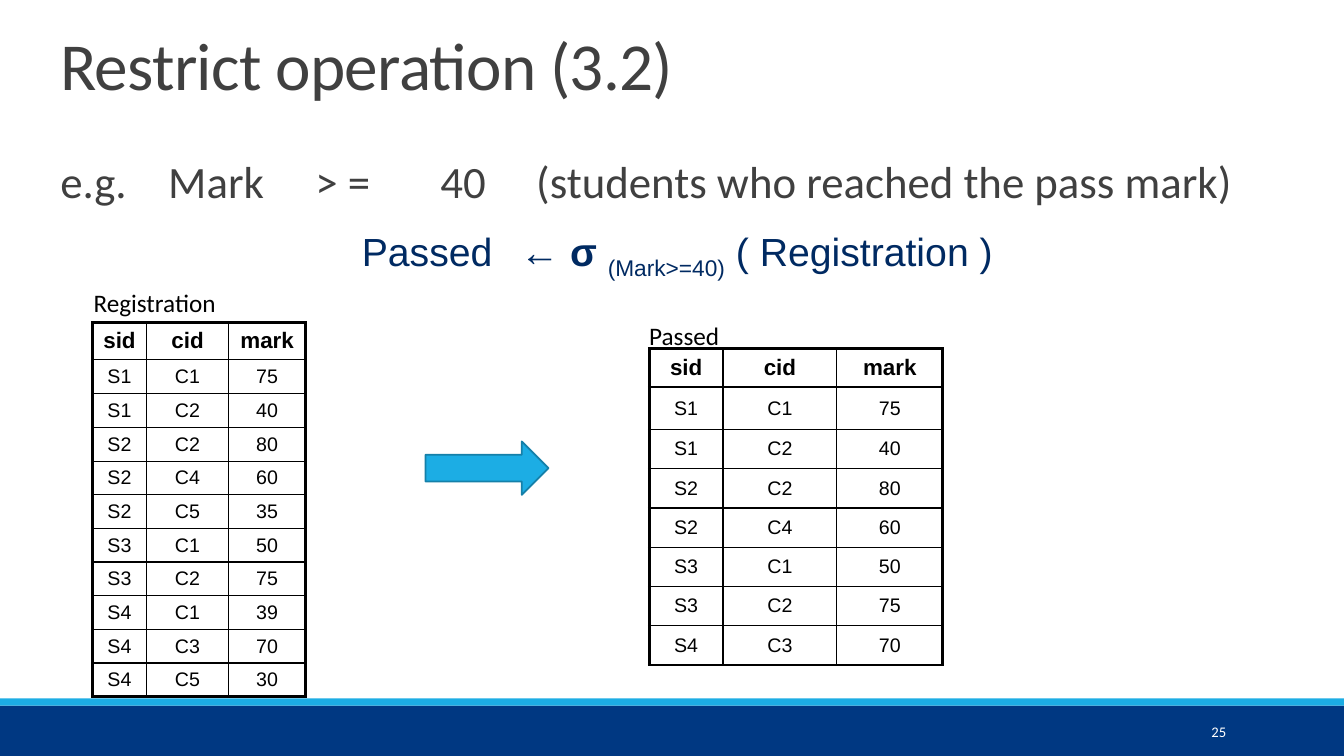
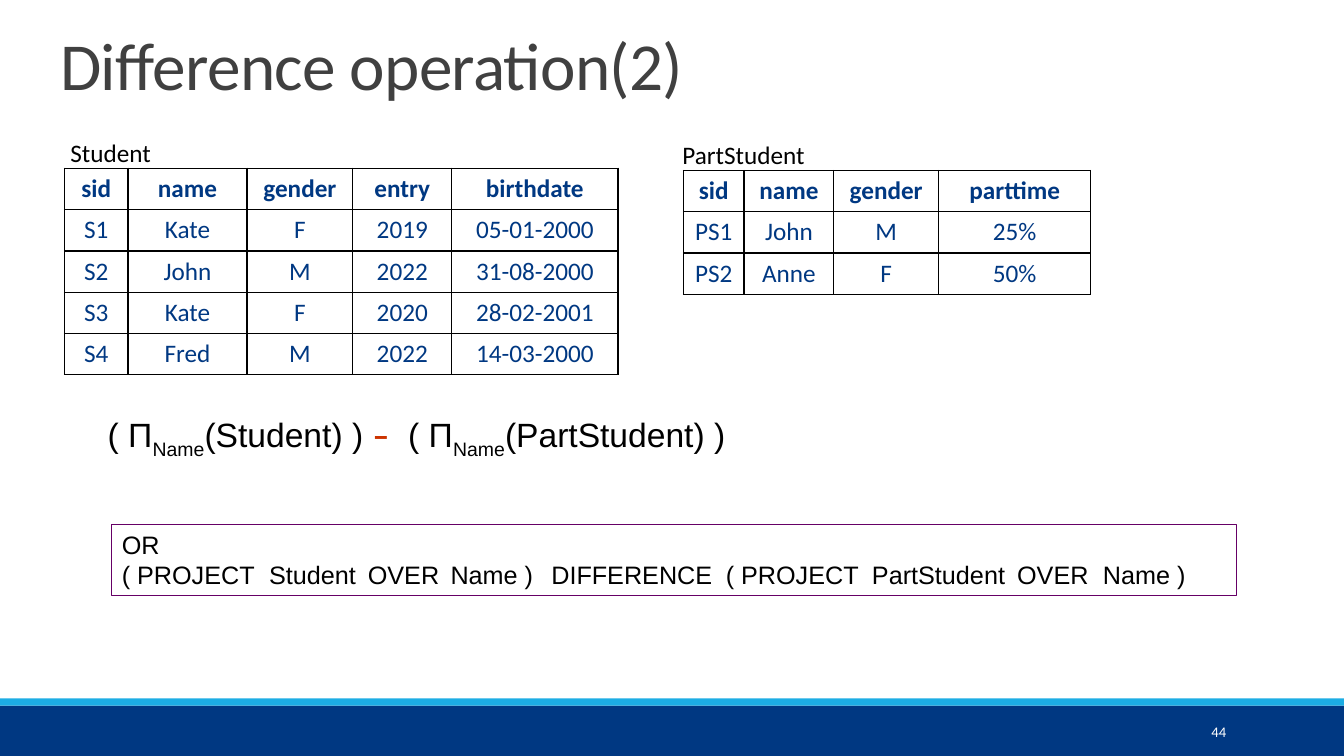
from dataclasses import dataclass
from typing import Optional

import lxml.etree
import pptx
import pptx.dml.color
import pptx.enum.shapes
import pptx.enum.text
import pptx.oxml.ns
import pptx.presentation
import pptx.shapes.autoshape
import pptx.slide
import pptx.table
import pptx.text.text
import pptx.util

Inches = pptx.util.Inches
Pt = pptx.util.Pt
RGBColor = pptx.dml.color.RGBColor
Shape = pptx.enum.shapes.MSO_SHAPE
Align = pptx.enum.text.PP_ALIGN
Anchor = pptx.enum.text.MSO_ANCHOR

NAVY = RGBColor(0x00, 0x38, 0x82)
DARK_NAVY = RGBColor(0x00, 0x2A, 0x62)
CYAN = RGBColor(0x1C, 0xAD, 0xE4)
ARROW_EDGE = RGBColor(0x15, 0x80, 0xA9)
GRAY = RGBColor(0x40, 0x40, 0x40)
PURPLE = RGBColor(0x66, 0x00, 0x66)
RED = RGBColor(0xCC, 0x33, 0x00)
WHITE = RGBColor(0xFF, 0xFF, 0xFF)
BLACK = RGBColor(0x00, 0x00, 0x00)

SLIDE_WIDTH = 13.33
THIN_BORDER = 1


@dataclass(frozen=True)
class Box:
    left: float
    top: float
    width: float
    height: float

    def lengths(self) -> tuple[int, int, int, int]:
        return Inches(self.left), Inches(self.top), Inches(self.width), Inches(self.height)


@dataclass(frozen=True)
class TextStyle:
    font: str
    size: float
    color: RGBColor


@dataclass(frozen=True)
class Piece:
    text: str
    bold: Optional[bool] = None
    subscript: bool = False
    font: Optional[str] = None
    color: Optional[RGBColor] = None


@dataclass(frozen=True)
class TableStyle:
    header: TextStyle
    body: TextStyle
    outer_border: float


@dataclass(frozen=True)
class Relation:
    name: str
    label_left: float
    label_top: float
    left: float
    top: float
    columns: list[float]
    row_heights: list[float]
    rows: list[str]
    style: TableStyle


TITLE = TextStyle("Calibri", 48, GRAY)
NUMBER = TextStyle("Calibri", 10.5, WHITE)
LABEL = TextStyle("Calibri", 18, BLACK)
EXAMPLE = TextStyle("Calibri", 32, GRAY)
RESTRICTION = TextStyle("Arial", 28, DARK_NAVY)
DIFFERENCE = TextStyle("Arial", 24, BLACK)
STATEMENT = TextStyle("Arial", 18, BLACK)
BLUE_CELL = TextStyle("Calibri", 18, NAVY)

FRAMED = TableStyle(TextStyle("Arial", 16, BLACK), TextStyle("Arial", 14, BLACK), 2.25)
PLAIN = TableStyle(BLUE_CELL, BLUE_CELL, THIN_BORDER)

RESTRICT_RELATIONS = [
    Relation("Passed", 6.34, 3.13, 6.44, 3.46, [0.73, 1.13, 1.05], [0.38, 0.42] + [0.39] * 6,
             ["sid cid mark", "S1 C1 75", "S1 C2 40", "S2 C2 80", "S2 C4 60",
              "S3 C1 50", "S3 C2 75", "S4 C3 70"], FRAMED),
    Relation("Registration", 0.83, 2.8, 0.92, 3.2, [0.53, 0.82, 0.76], [0.35, 0.34] + [0.31] * 9,
             ["sid cid mark", "S1 C1 75", "S1 C2 40", "S2 C2 80", "S2 C4 60", "S2 C5 35",
              "S3 C1 50", "S3 C2 75", "S4 C1 39", "S4 C3 70", "S4 C5 30"], FRAMED),
]
DIFFERENCE_RELATIONS = [
    Relation("Student", 0.6, 1.31, 0.64, 1.67, [0.63, 1.18, 1.05, 0.98, 1.65], [0.41] * 5,
             ["sid name gender entry birthdate", "S1 Kate F 2019 05-01-2000",
              "S2 John M 2022 31-08-2000", "S3 Kate F 2020 28-02-2001",
              "S4 Fred M 2022 14-03-2000"], PLAIN),
    Relation("PartStudent", 6.67, 1.33, 6.78, 1.69, [0.6, 0.89, 1.04, 1.51], [0.41] * 3,
             ["sid name gender parttime", "PS1 John M 25%", "PS2 Anne F 50%"], PLAIN),
]


def add_element(parent: lxml.etree._Element, tag: str, **attributes: str) -> lxml.etree._Element:
    element = lxml.etree.SubElement(parent, pptx.oxml.ns.qn(tag))
    for name, value in attributes.items():
        element.set(name, value)
    return element


def write_paragraph(paragraph: pptx.text.text._Paragraph, pieces: list[Piece], style: TextStyle,
                    tabs: Optional[list[float]] = None) -> None:
    if tabs:
        tab_list = add_element(paragraph._p.get_or_add_pPr(), "a:tabLst")
        for position in tabs:
            add_element(tab_list, "a:tab", pos=str(int(Inches(position))), algn="l")
    paragraph.font.name = style.font
    paragraph.font.size = Pt(style.size)
    paragraph.font.color.rgb = style.color
    for piece in pieces:
        run = paragraph.add_run()
        run.text = piece.text
        if piece.bold is not None:
            run.font.bold = piece.bold
        if piece.font:
            run.font.name = piece.font
        if piece.color is not None:
            run.font.color.rgb = piece.color
        if piece.subscript:
            run._r.get_or_add_rPr().set("baseline", "-25000")


def add_text(slide: pptx.slide.Slide, box: Box, pieces: list[Piece], style: TextStyle,
             tabs: Optional[list[float]] = None) -> pptx.text.text.TextFrame:
    frame = slide.shapes.add_textbox(*box.lengths()).text_frame
    frame.word_wrap = True
    write_paragraph(frame.paragraphs[0], pieces, style, tabs)
    return frame


def add_figure(slide: pptx.slide.Slide, kind: Shape, box: Box, fill: Optional[RGBColor] = None,
               line: Optional[RGBColor] = None,
               line_width: float = 1) -> pptx.shapes.autoshape.Shape:
    shape = slide.shapes.add_shape(kind, *box.lengths())
    shape.shadow.inherit = False
    if fill is None:
        shape.fill.background()
    else:
        shape.fill.solid()
        shape.fill.fore_color.rgb = fill
    if line is None:
        shape.line.fill.background()
    else:
        shape.line.color.rgb = line
        shape.line.width = Pt(line_width)
    return shape


def add_border(cell: pptx.table._Cell, side: str, width: float) -> None:
    border = add_element(cell._tc.get_or_add_tcPr(), f"a:{side}", w=str(int(Pt(width))))
    add_element(add_element(border, "a:solidFill"), "a:srgbClr", val=str(BLACK))


def add_relation(slide: pptx.slide.Slide, relation: Relation) -> None:
    style = relation.style
    box = Box(relation.left, relation.top, sum(relation.columns), sum(relation.row_heights))
    last_row = len(relation.rows) - 1
    last_column = len(relation.columns) - 1
    table = slide.shapes.add_table(last_row + 1, last_column + 1, *box.lengths()).table
    table.first_row = False
    table.horz_banding = False
    for column, width in zip(table.columns, relation.columns):
        column.width = Inches(width)
    for row, height in zip(table.rows, relation.row_heights):
        row.height = Inches(height)
    for row_index, values in enumerate(relation.rows):
        for column_index, value in enumerate(values.split()):
            cell = table.cell(row_index, column_index)
            outer_sides = {"lnL": column_index == 0, "lnR": column_index == last_column,
                           "lnT": row_index == 0, "lnB": row_index == last_row}
            for side, is_outer in outer_sides.items():
                add_border(cell, side, style.outer_border if is_outer else THIN_BORDER)
            cell.fill.background()
            cell.vertical_anchor = Anchor.MIDDLE
            paragraph = cell.text_frame.paragraphs[0]
            paragraph.alignment = Align.CENTER
            is_header = row_index == 0
            write_paragraph(paragraph, [Piece(value, bold=is_header)],
                            style.header if is_header else style.body)
    add_text(slide, Box(relation.label_left, relation.label_top, 1.5, 0.4),
             [Piece(relation.name)], LABEL)


def add_base_slide(presentation: pptx.presentation.Presentation, title: str,
                   number: int) -> pptx.slide.Slide:
    slide = presentation.slides.add_slide(presentation.slide_layouts[6])
    add_figure(slide, Shape.RECTANGLE, Box(0, 7, SLIDE_WIDTH, 0.5), NAVY)
    add_figure(slide, Shape.RECTANGLE, Box(0, 6.93, SLIDE_WIDTH, 0.07), CYAN)
    number_frame = add_text(slide, Box(10.83, 7.06, 1.43, 0.4), [Piece(str(number))], NUMBER)
    number_frame.vertical_anchor = Anchor.MIDDLE
    number_frame.paragraphs[0].alignment = Align.RIGHT
    title_frame = add_text(slide, Box(0.5, 0.3, 10.1, 1.25), [Piece(title)], TITLE)
    paragraph = title_frame.paragraphs[0]
    paragraph.line_spacing = 0.85
    paragraph.runs[0]._r.get_or_add_rPr().set("spc", "-50")
    return slide


def build_restrict_slide(presentation: pptx.presentation.Presentation) -> None:
    slide = add_base_slide(presentation, "Restrict operation (3.2)", 25)
    example = "e.g.\tMark\t> =\t40\t(students who reached the pass mark)"
    frame = add_text(slide, Box(0.5, 1.54, 12.15, 1.3), [Piece(example)], EXAMPLE,
                     [1.07, 2.53, 3.77, 4.72])
    formula = frame.add_paragraph()
    write_paragraph(formula, [
        Piece("\tPassed\t"), Piece("← σ ", bold=True),
        Piece("(Mark>=40)", subscript=True), Piece(" ( Registration )"),
    ], RESTRICTION, [2.99, 4.56])
    formula.space_before = Pt(12)
    for paragraph in frame.paragraphs:
        paragraph.line_spacing = 0.9
        paragraph.space_after = Pt(2)
    for relation in RESTRICT_RELATIONS:
        add_relation(slide, relation)
    add_figure(slide, Shape.RIGHT_ARROW, Box(4.22, 4.38, 1.22, 0.53), CYAN, ARROW_EDGE, 1.25)


def build_difference_slide(presentation: pptx.presentation.Presentation) -> None:
    slide = add_base_slide(presentation, "Difference operation(2)", 44)
    for relation in DIFFERENCE_RELATIONS:
        add_relation(slide, relation)
    projected_name = Piece("Name", subscript=True)
    add_text(slide, Box(0.97, 4.06, 7.31, 0.5), [
        Piece("( Π"), projected_name, Piece("(Student) ) "),
        Piece("–\t", bold=True, font="Calibri", color=RED),
        Piece("( Π"), projected_name, Piece("(PartStudent) )"),
    ], DIFFERENCE, [2.98])
    statement = add_figure(slide, Shape.RECTANGLE, Box(1.11, 5.2, 11.15, 0.71),
                           line=PURPLE, line_width=0.75)
    frame = statement.text_frame
    frame.word_wrap = True
    frame.vertical_anchor = Anchor.TOP
    write_paragraph(frame.paragraphs[0], [Piece("OR")], STATEMENT)
    projection = "( PROJECT\t{}\tOVER\tName )"
    text = "\tDIFFERENCE\t".join(projection.format(name) for name in ("Student", "PartStudent"))
    write_paragraph(frame.add_paragraph(), [Piece(text)], STATEMENT,
                    [1.46, 2.44, 3.26, 4.26, 5.99, 7.44, 8.88, 9.73])
    for paragraph in frame.paragraphs:
        paragraph.alignment = Align.LEFT


def main() -> None:
    presentation = pptx.Presentation()
    presentation.slide_width = Inches(SLIDE_WIDTH)
    presentation.slide_height = Inches(7.5)
    build_restrict_slide(presentation)
    build_difference_slide(presentation)
    presentation.save("out.pptx")


if __name__ == "__main__":
    main()
